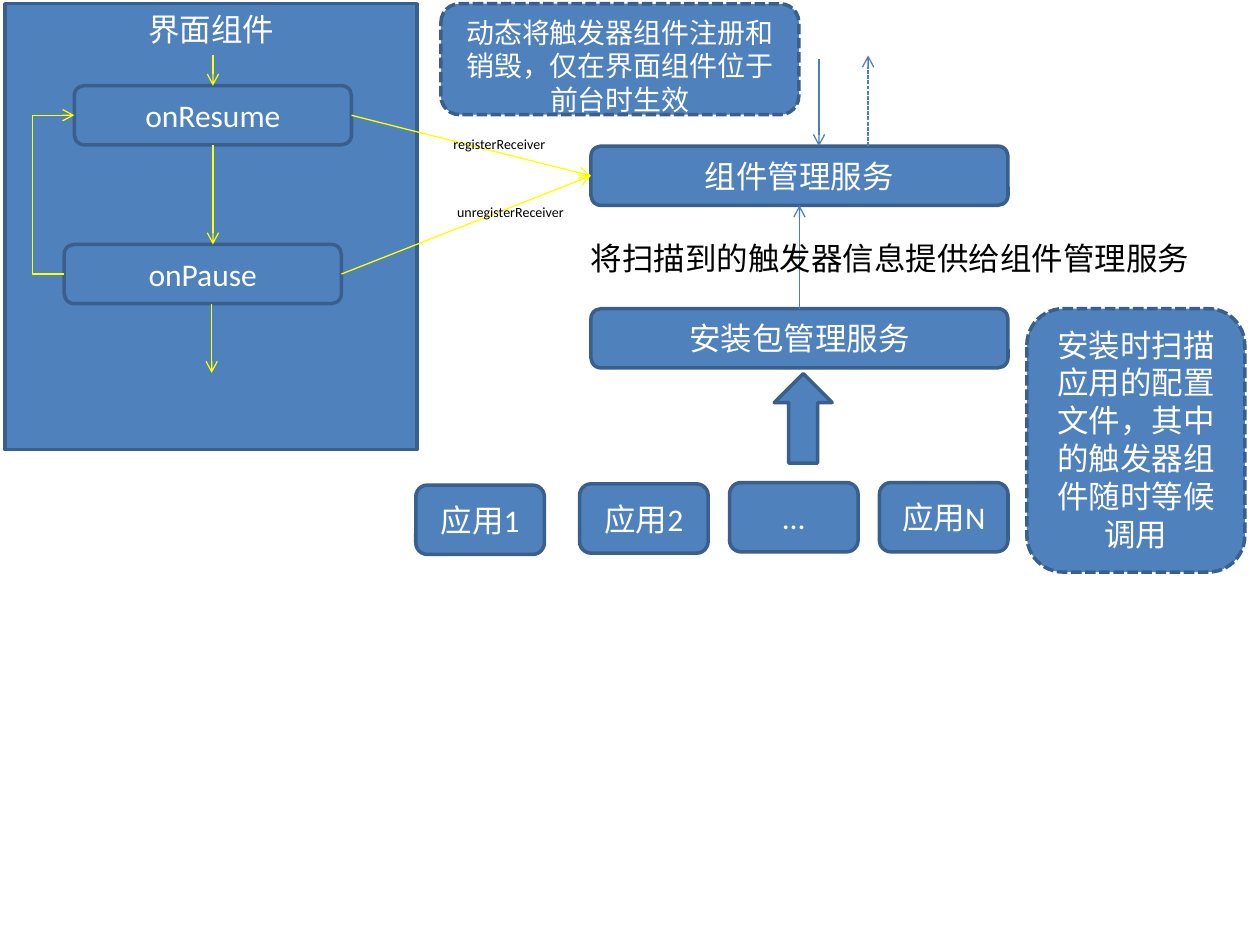
from lxml.etree import SubElement
from pptx import Presentation
from pptx.dml.color import RGBColor
from pptx.enum.dml import MSO_LINE
from pptx.enum.shapes import MSO_CONNECTOR, MSO_SHAPE
from pptx.enum.text import MSO_ANCHOR, MSO_AUTO_SIZE, PP_ALIGN
from pptx.oxml.ns import qn
from pptx.util import Inches, Pt

COLORS = {
    "fill": "4F81BD",
    "border": "3A5F8C",
    "flow": "4B7EBC",
    "call": "FFFF00",
    "light": "FFFFFF",
    "dark": "000000",
}
TOP, LEFT, BOTTOM, RIGHT = range(4)


def color(name):
    return RGBColor.from_string(COLORS[name])


def write_text(shape, text, size=18, ink="light", align=PP_ALIGN.CENTER,
               anchor=MSO_ANCHOR.MIDDLE, wrap=True):
    frame = shape.text_frame
    frame.word_wrap = wrap
    frame.vertical_anchor = anchor
    para = frame.paragraphs[0]
    para.alignment = align
    span = para.add_run()
    span.text = text
    span.font.name = "Calibri"
    span.font.size = Pt(size)
    span.font.color.rgb = color(ink)


def add_block(page, box, text="", kind=MSO_SHAPE.ROUNDED_RECTANGLE, dashed=False, **text_format):
    block = page.shapes.add_shape(kind, *map(Inches, box))
    block.shadow.inherit = False
    block.fill.solid()
    block.fill.fore_color.rgb = color("fill")
    block.line.color.rgb = color("border")
    block.line.width = Pt(2)
    if dashed:
        block.line.dash_style = MSO_LINE.SQUARE_DOT
    if text:
        write_text(block, text, **text_format)
    return block


def add_label(page, box, text, **text_format):
    label = page.shapes.add_textbox(*map(Inches, box))
    write_text(label, text, ink="dark", align=PP_ALIGN.LEFT, anchor=MSO_ANCHOR.TOP, **text_format)
    label.text_frame.auto_size = MSO_AUTO_SIZE.SHAPE_TO_FIT_TEXT


def add_arrow(page, start, end, ink="call", kind=MSO_CONNECTOR.STRAIGHT,
              source=None, target=None, dashed=False):
    arrow = page.shapes.add_connector(kind, *map(Inches, (*start, *end)))
    if source:
        arrow.begin_connect(*source)
    if target:
        arrow.end_connect(*target)
    arrow.line.color.rgb = color(ink)
    arrow.line.width = Pt(0.75)
    if dashed:
        arrow.line.dash_style = MSO_LINE.SQUARE_DOT
    SubElement(arrow.line._get_or_add_ln(), qn("a:tailEnd"), type="arrow")
    SubElement(arrow._element.spPr, qn("a:effectLst"))
    return arrow


def add_interface_component(page, box):
    left, top, width, height = box
    add_block(page, box, "界面组件", kind=MSO_SHAPE.RECTANGLE, anchor=MSO_ANCHOR.TOP)
    resume = add_block(page, (left + 0.55, top + 0.65, 2.2, 0.47), "onResume")
    pause = add_block(page, (left + 0.47, top + 1.91, 2.2, 0.47), "onPause")
    middle = left + 1.65
    loop = add_arrow(page, (left + 0.47, top + 2.15), (left + 0.55, top + 0.89),
                     kind=MSO_CONNECTOR.ELBOW, source=(pause, LEFT), target=(resume, LEFT))
    guides = loop._element.spPr.find(qn("a:prstGeom")).get_or_add_avLst()
    SubElement(guides, qn("a:gd"), name="adj1", fmla="val -317500")
    add_arrow(page, (middle, top + 0.41), (middle, top + 0.65), target=(resume, TOP))
    add_arrow(page, (middle, top + 1.12), (middle, top + 1.91), source=(resume, BOTTOM))
    add_arrow(page, (middle - 0.01, top + 2.38), (middle - 0.01, top + 2.93))
    return resume, pause


def add_services(page, box):
    left, top, width, height = box
    bar = 0.47
    manager = add_block(page, (left, top, width, bar), "组件管理服务")
    installer = add_block(page, (left, top + height - bar, width, bar), "安装包管理服务")
    add_arrow(page, (left + 1.81, top - 0.69), (left + 1.81, top), ink="flow")
    add_arrow(page, (left + 2.2, top), (left + 2.2, top - 0.72), ink="flow", dashed=True)
    middle = left + width / 2
    add_arrow(page, (middle, top + height - bar), (middle, top + bar), ink="flow",
              source=(installer, TOP), target=(manager, BOTTOM))
    add_label(page, (left - 0.1, top + 0.69, 4.97, 0.4), "将扫描到的触发器信息提供给组件管理服务")
    return manager


def add_receiver_calls(page, resume, pause, manager):
    for source in (resume, pause):
        add_arrow(page, (0, 0), (0, 0), source=(source, RIGHT), target=(manager, LEFT))
    add_label(page, (3.5, 1.03, 0.94, 0.24), "registerReceiver", size=8, wrap=False)
    add_label(page, (3.53, 1.57, 1.06, 0.24), "unregisterReceiver", size=8, wrap=False)


def add_applications(page, box):
    left, top, width, height = box
    applications = [("应用1", 0, 0.02), ("应用2", 1.3, 0.01), ("…", 2.49, 0), ("应用N", 3.68, 0)]
    for name, across, down in applications:
        add_block(page, (left + across, top + down, 1.02, height), name)
    arrow = add_block(page, (left + 2.72, top - 0.74, 0.71, 0.46), kind=MSO_SHAPE.RIGHT_ARROW)
    arrow.rotation = 270


def add_notes(page):
    add_block(page, (3.5, 0.03, 2.84, 0.88), "动态将触发器组件注册和销毁，仅在界面组件位于前台时生效",
              dashed=True, size=16, anchor=MSO_ANCHOR.TOP)
    add_block(page, (8.15, 2.45, 1.73, 2.09), "安装时扫描应用的配置文件，其中的触发器组件随时等候调用",
              dashed=True, anchor=MSO_ANCHOR.TOP)


def main():
    deck = Presentation()
    deck.slide_width, deck.slide_height = Inches(10), Inches(7.5)
    page = deck.slides.add_slide(deck.slide_layouts[6])
    resume, pause = add_interface_component(page, (0.04, 0.03, 3.27, 3.54))
    manager = add_services(page, (4.69, 1.16, 3.31, 1.76))
    add_receiver_calls(page, resume, pause, manager)
    add_applications(page, (3.3, 3.83, 4.7, 0.55))
    add_notes(page)
    deck.save("out.pptx")


if __name__ == "__main__":
    main()
